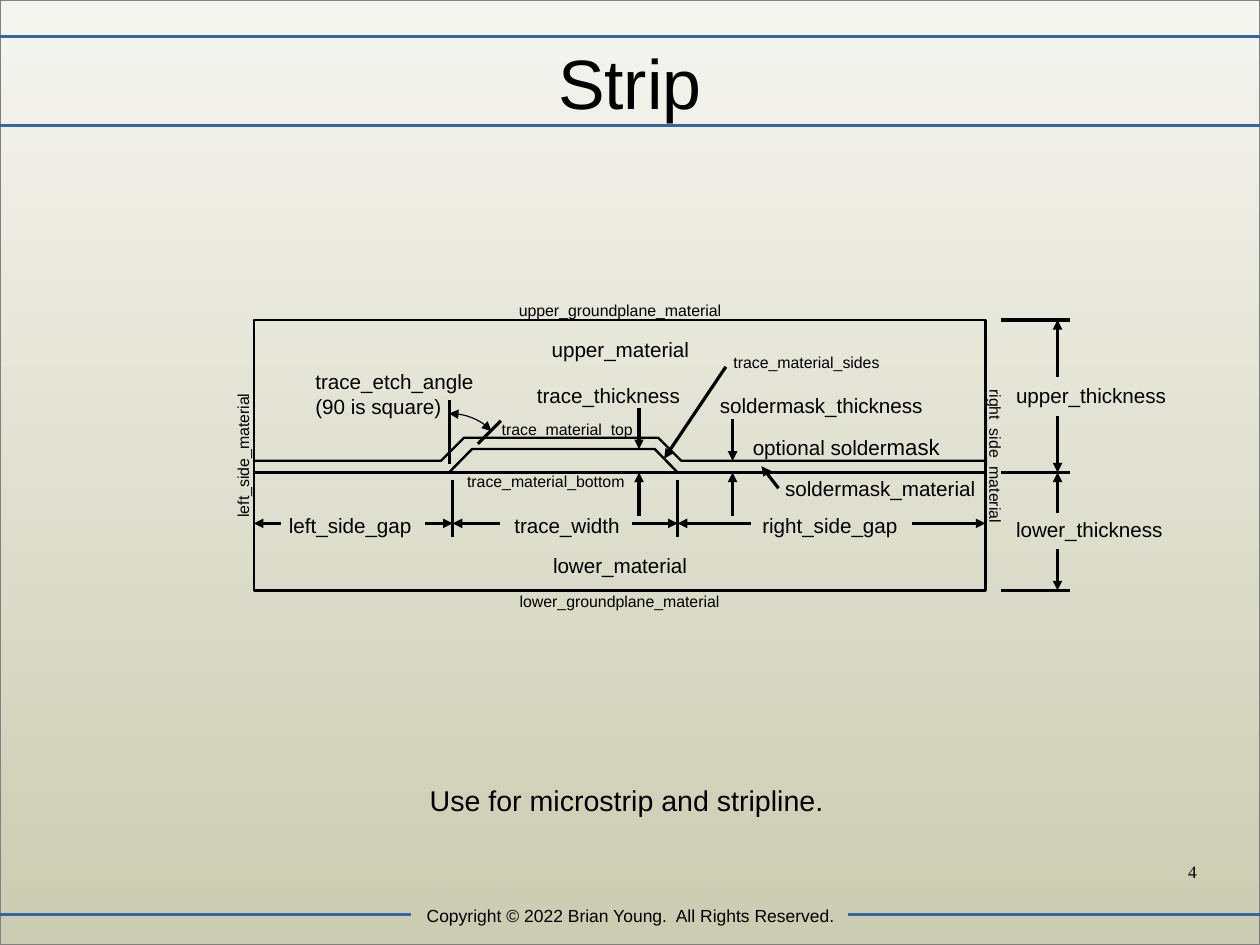
from lxml import etree
from pptx import Presentation
from pptx.dml.color import RGBColor
from pptx.enum.shapes import MSO_CONNECTOR as CONN, MSO_SHAPE as SHAPE
from pptx.enum.text import MSO_ANCHOR as ANCHOR, MSO_AUTO_SIZE as AUTO, PP_ALIGN as ALIGN
from pptx.oxml.ns import qn
from pptx.util import Cm, Pt

COLORS = {"ink": "000000", "rule": "3465A4", "border": "808080",
          "bg_top": "F5F5F0", "bg_bottom": "CCCCB2"}
PAGE_W, PAGE_H = 28, 21

# Cross-section levels and edges, in cm
LEFT, RIGHT = 5.64, 21.9
TOP, MIDDLE, BOTTOM = 7.11, 10.5, 13.12
TRACE_LEFT, TRACE_RIGHT, TRACE_TOP = 9.98, 15.06, 9.98
ETCH = 0.51
MASK_Y = 10.24
GAP_Y = 11.63
WIDTH_LEFT = 10.06
THICKNESS_X = 23.5


def rgb(name):
    return RGBColor.from_string(COLORS[name])


def style_line(sp, color="ink", width=0.0, ends=()):
    sp.line.color.rgb = rgb(color)
    sp.line.width = Pt(width)
    ln = sp.line._get_or_add_ln()
    for end in ends:
        etree.SubElement(ln, qn(f"a:{end}")).set("type", "triangle")


def add_line(slide, x1, y1, x2, y2, color="ink", ends=()):
    sp = slide.shapes.add_connector(CONN.STRAIGHT, Cm(x1), Cm(y1), Cm(x2), Cm(y2))
    style_line(sp, color, ends=ends)
    etree.SubElement(sp._element.spPr, qn("a:effectLst"))


def add_arrow(slide, tip_x, tip_y, x, y):
    add_line(slide, tip_x, tip_y, x, y, ends=("headEnd",))


def add_rect(slide, x, y, w, h, color="ink", width=0.0):
    sp = slide.shapes.add_shape(SHAPE.RECTANGLE, Cm(x), Cm(y), Cm(w), Cm(h))
    sp.shadow.inherit = False
    sp.fill.background()
    style_line(sp, color, width)
    return sp


def add_outline(slide, points, close=False, width=1.5, ends=()):
    start, *rest = [(Cm(x), Cm(y)) for x, y in points]
    builder = slide.shapes.build_freeform(*start)
    builder.add_line_segments(rest, close=close)
    sp = builder.convert_to_shape()
    sp.shadow.inherit = False
    sp.fill.background()
    style_line(sp, width=width, ends=ends)


def format_run(r, size, font="Arial"):
    r.font.size = Pt(size)
    r.font.name = font
    r.font.color.rgb = rgb("ink")


def add_label(slide, text, x, y, w, size=13, rotation=0):
    lines = text.count("\n") + 1
    sp = slide.shapes.add_textbox(Cm(x), Cm(y), Cm(w), Cm(0.25 + 0.047 * size * lines))
    sp.rotation = rotation
    tf = sp.text_frame
    tf.word_wrap = False
    tf.auto_size = AUTO.SHAPE_TO_FIT_TEXT
    tf.text = text
    for p in tf.paragraphs:
        format_run(p.runs[0], size)
    return tf.paragraphs[0]


def add_frame_text(slide, text, x, y, w, h, size, align, anchor=ANCHOR.TOP, font="Arial"):
    tf = slide.shapes.add_textbox(Cm(x), Cm(y), Cm(w), Cm(h)).text_frame
    tf.word_wrap = True
    tf.vertical_anchor = anchor
    tf.margin_left = tf.margin_right = tf.margin_top = tf.margin_bottom = 0
    tf.text = text
    p = tf.paragraphs[0]
    p.alignment = align
    format_run(p.runs[0], size, font)


def bezier(p0, p1, p2, p3, steps=12):
    points = []
    for i in range(steps + 1):
        t = i / steps
        weights = ((1 - t) ** 3, 3 * t * (1 - t) ** 2, 3 * t * t * (1 - t), t ** 3)
        points.append(tuple(sum(k * p[axis] for k, p in zip(weights, (p0, p1, p2, p3)))
                            for axis in (0, 1)))
    return points


def add_page(slide):
    page = add_rect(slide, 0, 0, PAGE_W, PAGE_H, "border")
    page.fill.gradient()
    page.fill.gradient_angle = 270
    for stop, name in zip(page.fill.gradient_stops, ("bg_top", "bg_bottom")):
        stop.color.rgb = rgb(name)
    for x1, x2, y in ((0, 9.14, 20.32), (18.85, PAGE_W, 20.32),
                      (0, PAGE_W, 2.79), (0, PAGE_W, 0.81)):
        add_line(slide, x1, y, x2, y, "rule")
    copyright_line = "Copyright © 2022 Brian Young.  All Rights Reserved."
    add_label(slide, copyright_line, 8.56, 19.99, 10.92, 11).alignment = ALIGN.CENTER
    add_frame_text(slide, "Strip", 1.4, 0.76, 25.2, 2.11, 44, ALIGN.CENTER, ANCHOR.MIDDLE)
    add_frame_text(slide, "4", 20.07, 19.13, 6.53, 1.45, 11, ALIGN.RIGHT,
                   font="Times New Roman")


def add_cross_section(slide):
    # Dielectrics
    for top, bottom in ((MIDDLE, BOTTOM), (TOP, MIDDLE)):
        add_rect(slide, LEFT, top, RIGHT - LEFT, bottom - top, width=1.5)
    # Trace and solder mask
    add_outline(slide, [(TRACE_LEFT, MIDDLE), (TRACE_LEFT + ETCH, TRACE_TOP),
                        (TRACE_RIGHT - ETCH, TRACE_TOP), (TRACE_RIGHT, MIDDLE)], close=True)
    add_outline(slide, [(LEFT, MASK_Y), (9.8, MASK_Y), (9.8 + ETCH, MASK_Y - ETCH),
                        (15.14 - ETCH, MASK_Y - ETCH), (15.14, MASK_Y), (RIGHT, MASK_Y)])


def add_dimensions(slide):
    # Etch angle
    add_line(slide, 10.62, 9.86, 11.13, 9.35)
    add_line(slide, TRACE_LEFT, 10.31, TRACE_LEFT, 8.89)
    add_outline(slide, bezier((9.98, 9.19), (10.59, 9.19), (10.9, 9.55), (10.92, 9.58)),
                width=0, ends=("headEnd", "tailEnd"))
    # Witness lines
    for x in (WIDTH_LEFT, TRACE_RIGHT):
        add_line(slide, x, 10.67, x, 11.94)
    for y in (TOP, MIDDLE, BOTTOM):
        add_line(slide, 22.25, y, 23.77, y)
    # Vertical arrows: x, tip, tail
    for x, tip, tail in ((14.2, TRACE_TOP, 9.07), (14.2, MIDDLE, 11.46),
                         (16.28, MASK_Y, 9.3), (16.28, MIDDLE, 11.46),
                         (THICKNESS_X, TOP, 8.38), (THICKNESS_X, MIDDLE, 9.25),
                         (THICKNESS_X, BOTTOM, 12.19), (THICKNESS_X, MIDDLE, 11.4)):
        add_arrow(slide, x, tip, x, tail)
    # Horizontal arrows: tip, tail
    for tip, tail in ((LEFT, 6.25), (WIDTH_LEFT, 9.45), (WIDTH_LEFT, 11.1),
                      (TRACE_RIGHT, 14.05), (TRACE_RIGHT, 16.69), (RIGHT, 20.27)):
        add_arrow(slide, tip, GAP_Y, tail, GAP_Y)
    # Leaders
    add_arrow(slide, 16.92, 10.36, 17.3, 10.85)
    add_arrow(slide, 14.76, 10.19, 16.13, 8.15)


def add_labels(slide):
    for text, x, y, w in (("soldermask_thickness", 15.75, 8.61, 5.26),
                          ("trace_etch_angle\n(90 is square)", 6.76, 8.08, 4.11),
                          ("trace_thickness", 11.68, 8.38, 3.84),
                          ("left_side_gap", 6.17, 11.28, 3.3),
                          ("trace_width", 11.18, 11.28, 3.07),
                          ("right_side_gap", 16.69, 11.28, 3.63),
                          ("upper_material", 12.01, 7.37, 3.89),
                          ("lower_material", 12.04, 12.17, 3.84),
                          ("upper_thickness", 22.33, 8.38, 4.06),
                          ("lower_thickness", 22.33, 11.35, 4.01),
                          ("soldermask_material", 17.2, 10.46, 5.08)):
        add_label(slide, text, x, y, w)
    for text, x, y, w, rotation in (("left_side_material", 3.68, 9.65, 3.48, 270),
                                    ("right_side_material", 20.24, 9.91, 3.73, 90),
                                    ("trace_material_bottom", 10.13, 10.36, 4.29, 0),
                                    ("trace_material_top", 10.9, 9.19, 3.63, 0),
                                    ("trace_material_sides", 16.05, 7.72, 3.94, 0),
                                    ("upper_groundplane_material", 11.28, 6.55, 5.41, 0),
                                    ("lower_groundplane_material", 11.3, 13.03, 5.38, 0)):
        add_label(slide, text, x, y, w, 10, rotation)
    p = add_label(slide, "optional solder", 16.48, 9.5, 5.05)
    r = p.add_run()
    r.text = "mask"
    format_run(r, 14)
    add_label(slide, "Use for microstrip and stripline.", 9.3, 17.27, 10.19, 18)


def main():
    prs = Presentation()
    prs.slide_width, prs.slide_height = Cm(PAGE_W), Cm(PAGE_H)
    slide = prs.slides.add_slide(prs.slide_layouts[6])
    add_page(slide)
    add_cross_section(slide)
    add_dimensions(slide)
    add_labels(slide)
    prs.save("out.pptx")


if __name__ == "__main__":
    main()
